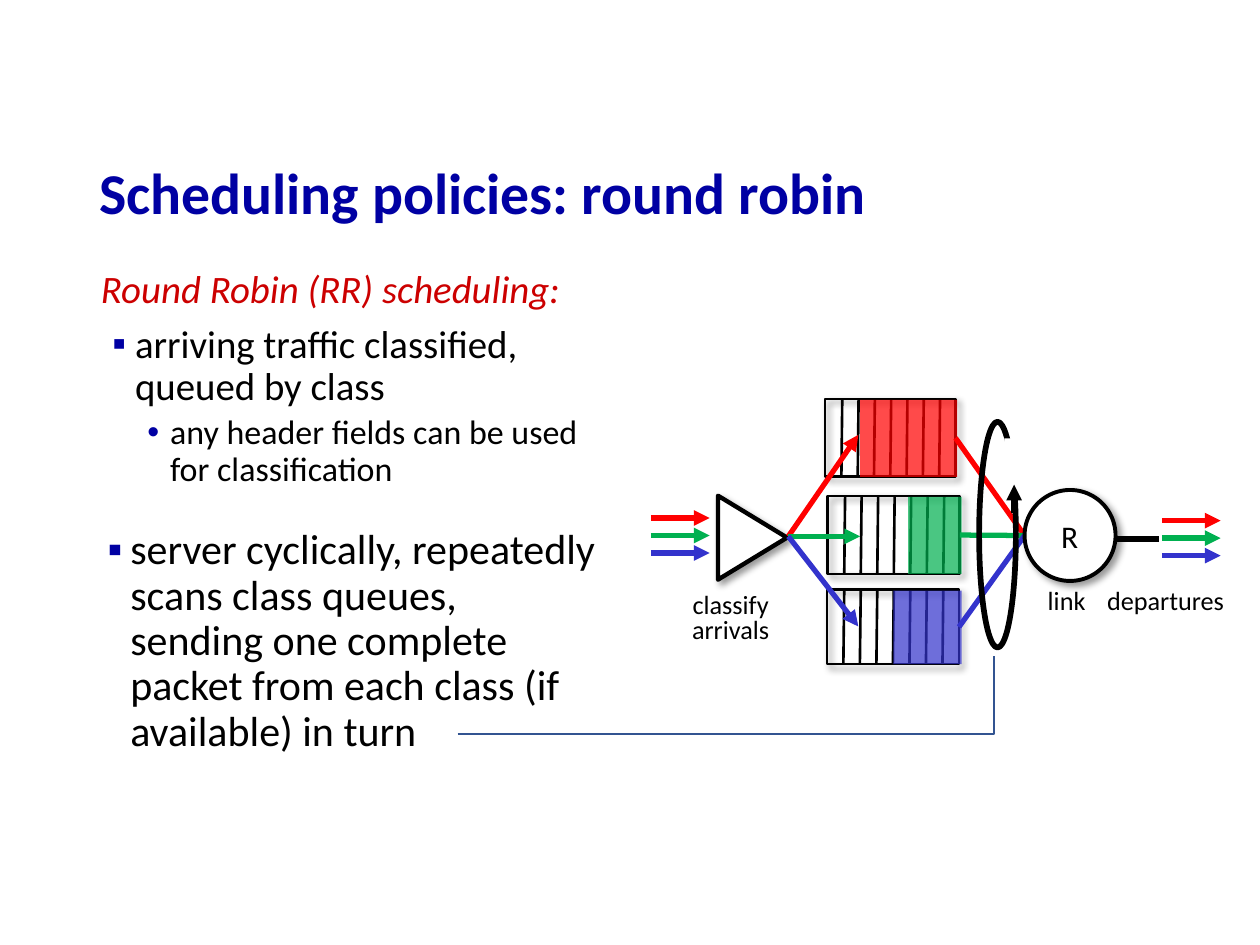
from lxml.etree import SubElement
from pptx import Presentation
from pptx.dml.color import RGBColor
from pptx.enum.shapes import MSO_CONNECTOR, MSO_SHAPE
from pptx.enum.text import MSO_ANCHOR, MSO_AUTO_SIZE, PP_ALIGN
from pptx.oxml.ns import qn
from pptx.util import Pt

BLACK = RGBColor(0, 0, 0)
WHITE = RGBColor(255, 255, 255)
NAVY = RGBColor(0x00, 0x00, 0xA3)
CRIMSON = RGBColor(0xCC, 0x00, 0x00)
STEEL = RGBColor(0x32, 0x54, 0x91)
RED = RGBColor(0xFF, 0x00, 0x00)
GREEN = RGBColor(0x00, 0xB0, 0x50)
BLUE = RGBColor(0x33, 0x33, 0xCC)
FONT = "Calibri"

# Content
TITLE = "Scheduling policies: round robin"
POINTS = [
    ("Round Robin (RR) scheduling:",
     dict(size=22.2, color=CRIMSON, italic=True, indent=21)),
    ("arriving traffic classified, queued by class",
     dict(size=22.2, indent=27.5, bullet="▪", before=7.5)),
    ("any header fields can be used for classification",
     dict(size=19.4, indent=47.5, bullet="•", before=3.8, level=1)),
]
SERVER = ("server cyclically, repeatedly scans class queues, sending one "
          "complete packet from each class (if available) in turn")
LABELS = [  # lines, box, size
    (["classify", "arrivals"], (386.5, 336, 62, 37), 15),
    (["departures"], (625, 334, 82, 22), 15),
    (["link"], (591, 334, 37, 22), 15),
    (["R"], (599, 296, 24.5, 25), 18),
]
QUEUES = [  # frame box, left edge of the waiting packets, their right edge, colour
    ((471.5, 228, 74.5, 44.5), 491.5, 547, RED),
    ((473, 283.5, 75.5, 44.5), 519, 549.5, GREEN),
    ((472.5, 337, 75.5, 42.5), 510.5, 549.5, BLUE),
]
SLOTS = 8
FORK = (450.5, 306.5)  # tip of the classifier
TARGETS = [(490.5, 248.5), (491.5, 306.5), (490.5, 358)]
MERGE = (585.5, 306)  # left side of the link circle
FLOWS = [(372, 296), (664, 297.5)]  # first arrow of each bundle
FLOW, STEP = 33.5, 10

deck = Presentation()
deck.slide_width, deck.slide_height = Pt(720), Pt(540)
slide = deck.slides.add_slide(deck.slide_layouts[1])
shapes = slide.shapes


def write(para, text, size=15, color=BLACK, bold=False, italic=False,
          align=PP_ALIGN.LEFT, spacing=0.9, before=0, indent=0, bullet=None, level=0):
    para.level, para.alignment = level, align
    para.line_spacing, para.space_before = spacing, Pt(before)
    props = para._p.get_or_add_pPr()
    props.set("marL", str(Pt(indent)))
    props.set("indent", str(Pt(-13) if indent else 0))
    if bullet:
        tint = SubElement(props, qn("a:buClr"))
        SubElement(tint, qn("a:srgbClr"), val=str(NAVY))
        SubElement(props, qn("a:buFont"), typeface="Arial")
        SubElement(props, qn("a:buChar"), char=bullet)
    else:
        SubElement(props, qn("a:buNone"))
    run = para.add_run()
    run.text = text
    font = run.font
    font.name, font.size, font.bold, font.italic = FONT, Pt(size), bold, italic
    font.color.rgb = color


def place(shape, box):
    shape.left, shape.top, shape.width, shape.height = map(Pt, box)


def fill_in(frame, items):
    for i, (text, style) in enumerate(items):
        para = frame.add_paragraph() if i else frame.paragraphs[0]
        write(para, text, **style)


def paint(shape, fill=None, line=None, width=1, alpha=None, shadow=False):
    shape.shadow.inherit = False
    if fill is None:
        shape.fill.background()
    else:
        shape.fill.solid()
        shape.fill.fore_color.rgb = fill
    if alpha:
        tint = shape._element.spPr.find(qn("a:solidFill"))[0]
        SubElement(tint, qn("a:alpha"), val=str(alpha * 1000))
    if line is None:
        shape.line.fill.background()
    else:
        shape.line.color.rgb = line
        shape.line.width = Pt(width)
    if shadow:
        effects = shape._element.spPr.find(qn("a:effectLst"))
        cast = SubElement(effects, qn("a:outerShdw"), blurRad=str(Pt(4)),
                          dist=str(Pt(3)), dir="2700000", algn="tl", rotWithShape="0")
        tint = SubElement(cast, qn("a:srgbClr"), val=str(BLACK))
        SubElement(tint, qn("a:alpha"), val="40000")


def draw(kind, box, **style):
    shape = shapes.add_shape(kind, *map(Pt, box))
    paint(shape, **style)
    return shape


def link(start, end, color=BLACK, width=3, arrow=False):
    line = shapes.add_connector(MSO_CONNECTOR.STRAIGHT, *map(Pt, (*start, *end)))
    line.line.color.rgb = color
    line.line.width = Pt(width)
    if arrow:
        SubElement(line.line._get_or_add_ln(), qn("a:tailEnd"), type="triangle")
    SubElement(line._element.spPr, qn("a:effectLst"))
    return line


# Title and main list
title = shapes.title
place(title, (49.5, 85.5, 620.5, 52.5))
title.text_frame.vertical_anchor = MSO_ANCHOR.MIDDLE
title.text_frame.auto_size = MSO_AUTO_SIZE.NONE
fill_in(title.text_frame, [(TITLE, dict(size=33, color=NAVY, bold=True))])
body = slide.placeholders[1]
place(body, (42.5, 150.5, 304.5, 148.5))
body.text_frame.auto_size = MSO_AUTO_SIZE.NONE
fill_in(body.text_frame, POINTS)

# Queues with slot dividers and waiting packets
frames = []
for box, start, stop, color in QUEUES:
    left, top, wide, high = box
    frames.append(draw(MSO_SHAPE.RECTANGLE, box, line=BLACK, width=1.5, shadow=True))
    for slot in range(1, SLOTS):
        x = left + slot * wide / SLOTS
        link((x + 0.5, top), (x, top + high), width=1.5)
    draw(MSO_SHAPE.RECTANGLE, (start, top + 0.5, stop - start, high - 0.5),
         fill=color, alpha=71)

# Classifier and traffic bundles
tri = draw(MSO_SHAPE.ISOSCELES_TRIANGLE, (406, 287.5, 48, 39.5),
           fill=WHITE, line=BLACK, width=2.5, shadow=True)
tri.rotation = 90
for x, y in FLOWS:
    for i, color in enumerate((RED, GREEN, BLUE)):
        link((x, y + i * STEP), (x + FLOW, y + i * STEP), color, arrow=True)

# Paths into and out of the queues
for target, frame, queue in zip(TARGETS, frames, QUEUES):
    color = queue[-1]
    link(FORK, target, color, arrow=True)
    link(MERGE, MERGE, color).begin_connect(frame, 3)

# Outgoing link
link((635, 308), (662.5, 308))
draw(MSO_SHAPE.OVAL, (585.5, 280, 52, 52), fill=WHITE, line=BLACK, width=2.25, shadow=True)

# Rotation loop with a gap and an arrowhead
draw(MSO_SHAPE.OVAL, (559.5, 241, 21, 129), line=BLACK, width=3.25)
draw(MSO_SHAPE.RECTANGLE, (574, 250.5, 11.5, 34.5), fill=WHITE)
link((579.5, 293), (579.5, 277), arrow=True)

# Labels
for lines, box, size in LABELS:
    frame = shapes.add_textbox(*map(Pt, box)).text_frame
    frame.word_wrap = False
    style = dict(size=size, align=PP_ALIGN.CENTER, spacing=0.8)
    fill_in(frame, [(text, style) for text in lines])

# Server note and its leader line
note = shapes.add_textbox(*map(Pt, (42, 299, 304.5, 139))).text_frame
note.word_wrap = True
note.margin_left = note.margin_right = Pt(5)
note.margin_top = note.margin_bottom = Pt(3)
fill_in(note, [(SERVER, dict(size=24, indent=27.5, bullet="▪"))])
path = shapes.build_freeform(Pt(261.5), Pt(419.5))
path.add_line_segments([(Pt(568), Pt(419.5)), (Pt(568), Pt(375))], close=False)
paint(path.convert_to_shape(), line=STEEL)

deck.save("out.pptx")
